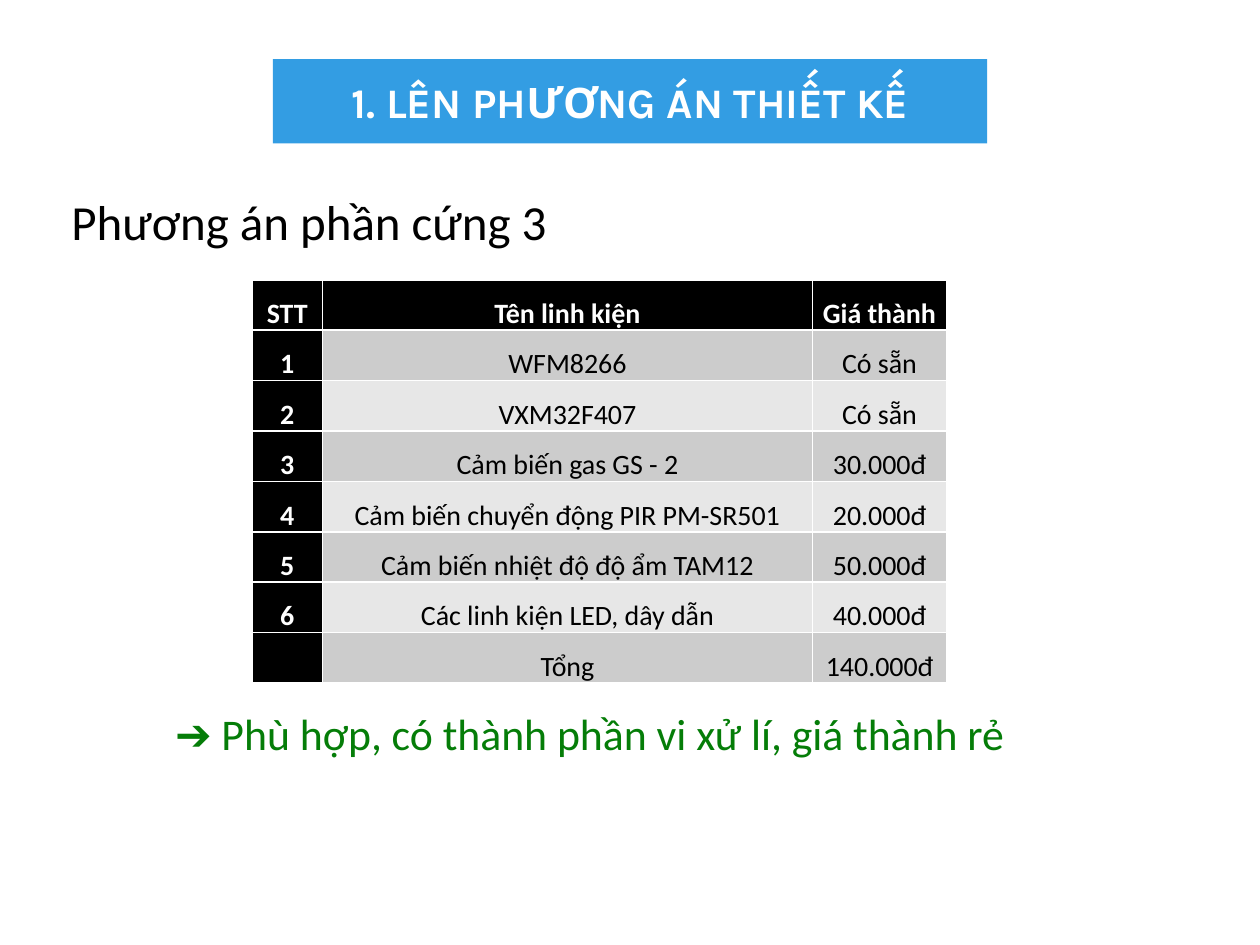
from pptx import Presentation
from pptx.dml.color import RGBColor
from pptx.enum.text import MSO_ANCHOR, MSO_AUTO_SIZE, PP_ALIGN
from pptx.util import Cm, Pt

COLORS = {
    "banner": "339DE3",
    "header": "000000",
    "odd_row": "CCCCCC",
    "even_row": "E7E7E7",
    "light": "FFFFFF",
    "dark": "000000",
    "verdict": "057D08",
}

PARTS = [
    ("STT", "Tên linh kiện", "Giá thành"),
    ("1", "WFM8266", "Có sẵn"),
    ("2", "VXM32F407", "Có sẵn"),
    ("3", "Cảm biến gas GS - 2", "30.000đ"),
    ("4", "Cảm biến chuyển động PIR PM-SR501", "20.000đ"),
    ("5", "Cảm biến nhiệt độ độ ẩm TAM12", "50.000đ"),
    ("6", "Các linh kiện LED, dây dẫn", "40.000đ"),
    ("", "Tổng", "140.000đ"),
]


def style_font(paragraph, name, size, color, bold=False):
    font = paragraph.font
    font.name = name
    font.size = Pt(size)
    font.bold = bold
    font.color.rgb = RGBColor.from_string(COLORS[color])


prs = Presentation()
prs.slide_width, prs.slide_height = Cm(25.4), Cm(19.05)
slide = prs.slides.add_slide(prs.slide_layouts[5])

# Title banner
title = slide.shapes.title
title.left, title.top, title.width, title.height = Cm(5.5), Cm(1.19), Cm(14.4), Cm(1.7)
title.fill.solid()
title.fill.fore_color.rgb = RGBColor.from_string(COLORS["banner"])
heading = title.text_frame
heading.text = "1. LÊN PHƯƠNG ÁN THIẾT KẾ"
heading.auto_size = MSO_AUTO_SIZE.NONE
heading.vertical_anchor = MSO_ANCHOR.MIDDLE
heading.margin_left = heading.margin_right = Cm(0.18)
heading.margin_top = heading.margin_bottom = Cm(0.1)
heading.paragraphs[0].alignment = PP_ALIGN.CENTER
style_font(heading.paragraphs[0], "Karla", 24, "light", bold=True)

# Option name above the table, verdict below it
for text, left, top, width, height, size, color in [
    ("Phương án phần cứng 3", 1.19, 3.73, 10.2, 1.45, 28, "dark"),
    ("➔ Phù hợp, có thành phần vi xử lí, giá thành rẻ", 3.28, 14.12, 17.6, 1.32, 25, "verdict"),
]:
    caption = slide.shapes.add_textbox(Cm(left), Cm(top), Cm(width), Cm(height)).text_frame
    caption.word_wrap = False
    caption.auto_size = MSO_AUTO_SIZE.SHAPE_TO_FIT_TEXT
    caption.text = text
    style_font(caption.paragraphs[0], "Calibri", size, color)

# Parts and prices
column_widths = [1.42, 9.88, 2.7]
row_height = 1
parts_table = slide.shapes.add_table(
    len(PARTS), len(column_widths), Cm(5.08), Cm(5.64),
    Cm(sum(column_widths)), Cm(row_height * len(PARTS))).table
parts_table.first_col = True
for column, width in zip(parts_table.columns, column_widths):
    column.width = Cm(width)

for r, part in enumerate(PARTS):
    for c, text in enumerate(part):
        is_header = r == 0 or c == 0
        band = "header" if is_header else "odd_row" if r % 2 else "even_row"
        cell = parts_table.cell(r, c)
        cell.fill.solid()
        cell.fill.fore_color.rgb = RGBColor.from_string(COLORS[band])
        cell.margin_left = cell.margin_right = Cm(0.18)
        cell.margin_top = cell.margin_bottom = 0
        cell.text = text
        entry = cell.text_frame.paragraphs[0]
        entry.alignment = PP_ALIGN.CENTER
        entry.line_spacing = 1.5
        style_font(entry, "Calibri", 16, "light" if is_header else "dark", bold=is_header)

prs.save("out.pptx")
